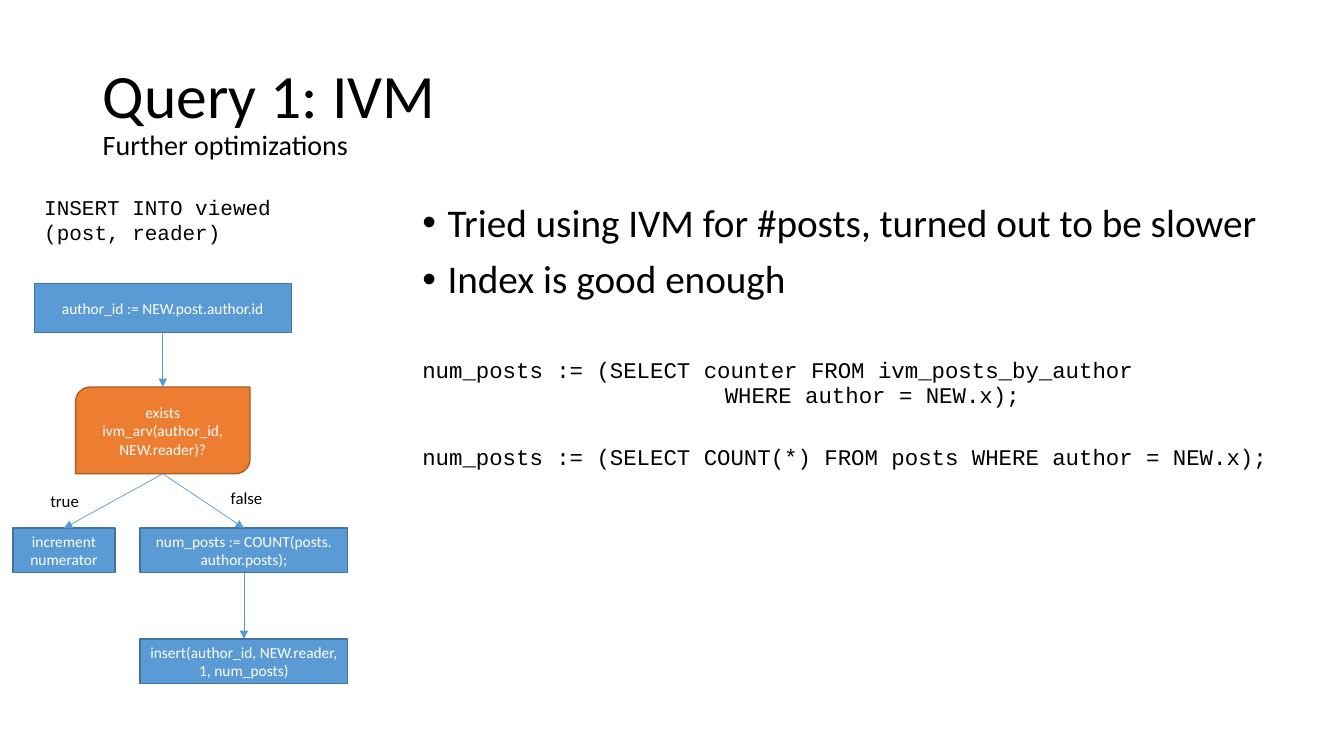
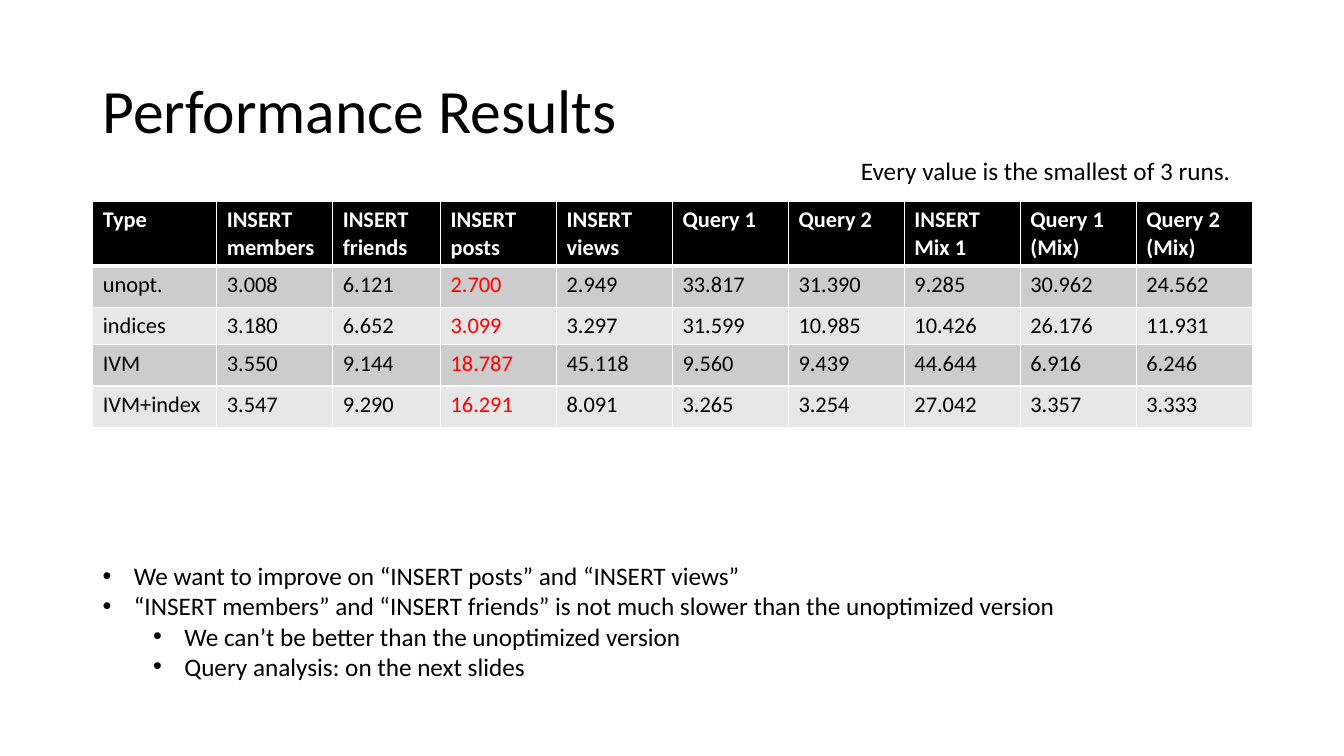
from lxml import etree
from pptx import Presentation, util as u
from pptx.dml.color import RGBColor
from pptx.enum import shapes, text
from pptx.oxml.ns import qn

PX = 9144
WIDE, HIGH = 1333, 750
SANS, MONO = "Calibri", "Courier New"
HUES = {
    "ink": "000000", "paper": "FFFFFF", "alert": "FF0000",
    "step": "5B9BD5", "stepline": "43739E",
    "test": "ED7D31", "testline": "AF5C24",
    "dark": "CCCCCC", "light": "E7E7E7",
}


def px(*sizes):
    return [u.Emu(size * PX) for size in sizes]


def hue(name):
    return RGBColor.from_string(HUES[name])


def style(par, size, color="ink", font=SANS, bold=False):
    for run in par.runs:
        run.font.size = u.Pt(size)
        run.font.name = font
        run.font.bold = bold
        run.font.color.rgb = hue(color)


def indent(par, left, hang=0):
    props = par._p.get_or_add_pPr()
    props.set("marL", str(left * PX))
    props.set("indent", str(-hang * PX))
    if hang:
        etree.SubElement(props, qn("a:buFont"), typeface="Arial")
        etree.SubElement(props, qn("a:buChar"), char="•")


def label(slide, box, words, size, font=SANS, wrap=False):
    frame = slide.shapes.add_textbox(*px(*box)).text_frame
    frame.word_wrap = wrap
    frame.text = words
    for par in frame.paragraphs:
        style(par, size, font=font)
    return frame


def title(slide, words, note=None):
    full = f"{words}\v{note}" if note else words
    frame = label(slide, (92, 40, 1150, 145), full, 44, wrap=True)
    frame.vertical_anchor = text.MSO_ANCHOR.MIDDLE
    par = frame.paragraphs[0]
    par.line_spacing = 0.9
    if note:
        par.runs[-1].font.size = u.Pt(20)


def node(slide, box, words, kind):
    form = shapes.MSO_SHAPE.RECTANGLE
    if kind == "test":
        form = shapes.MSO_SHAPE.ROUND_2_DIAG_RECTANGLE
    shape = slide.shapes.add_shape(form, *px(*box))
    shape.shadow.inherit = False
    shape.fill.solid()
    shape.fill.fore_color.rgb = hue(kind)
    shape.line.color.rgb = hue(kind + "line")
    shape.line.width = u.Pt(1)
    frame = shape.text_frame
    frame.word_wrap = True
    frame.vertical_anchor = text.MSO_ANCHOR.MIDDLE
    frame.text = words
    par = frame.paragraphs[0]
    par.alignment = text.PP_ALIGN.CENTER
    style(par, 11, "paper")
    return shape


def arrow(slide, top, low):
    line = slide.shapes.add_connector(
        shapes.MSO_CONNECTOR.STRAIGHT,
        top.left + top.width // 2, top.top + top.height,
        low.left + low.width // 2, low.top)
    line.line.color.rgb = hue("step")
    line.line.width = u.Pt(0.5)
    etree.SubElement(line.line._get_or_add_ln(), qn("a:tailEnd"), type="triangle")
    etree.SubElement(line._element.spPr, qn("a:effectLst"))


def flow(slide, left, top):
    def place(x, y, w, h):
        return left + x, top + y, w, h

    steps = {
        "fetch": ((21, 93, 255, 49), "author_id := NEW.post.author.id", "step"),
        "check": ((62, 196, 173, 86), "exists ivm_arv(author_id, NEW.reader)?", "test"),
        "raise": ((0, 336, 101, 44), "increment numerator", "step"),
        "count": ((126, 336, 206, 44), "num_posts := COUNT(posts. author.posts);", "step"),
        "store": ((126, 446, 206, 44), "insert(author_id, NEW.reader, 1, num_posts)", "step"),
    }
    nodes = {key: node(slide, place(*box), words, kind)
             for key, (box, words, kind) in steps.items()}
    for start, end in (("fetch", "check"), ("check", "raise"),
                       ("check", "count"), ("count", "store")):
        arrow(slide, nodes[start], nodes[end])
    label(slide, place(21, 0, 247, 61), "INSERT INTO viewed\n(post, reader)", 15, MONO)
    label(slide, place(206, 291, 52, 30), "false", 12)
    label(slide, place(27, 294, 49, 30), "true", 12)


def body(slide, box):
    rows = (
        ("Tried using IVM for #posts, turned out to be slower", 28, SANS, 25, 25, 10),
        ("Index is good enough", 28, SANS, 25, 25, 10),
        ("num_posts := (SELECT counter FROM ivm_posts_by_author", 16, MONO, 0, 0, 41),
        ("WHERE author = NEW.x);", 16, MONO, 300, 0, 0),
        ("num_posts := (SELECT COUNT(*) FROM posts WHERE author = NEW.x);",
         16, MONO, 0, 0, 27),
    )
    frame = label(slide, box, "\n".join(row[0] for row in rows), 28, wrap=True)
    for par, (_, size, font, left, hang, gap) in zip(frame.paragraphs, rows):
        style(par, size, font=font)
        par.line_spacing = 0.9
        par.space_before = u.Pt(gap)
        indent(par, left, hang)


def edge(cell, side, width):
    line = etree.SubElement(cell._tc.get_or_add_tcPr(), qn("a:ln" + side),
                            w=str(u.Pt(width)))
    fill = etree.SubElement(line, qn("a:solidFill"))
    etree.SubElement(fill, qn("a:srgbClr"), val=HUES["paper"])


def grid(slide, left, top):
    heads = ("Type", "INSERT members", "INSERT friends", "INSERT posts",
             "INSERT views", "Query 1", "Query 2", "INSERT Mix 1",
             "Query 1 (Mix)", "Query 2 (Mix)")
    data = (
        heads,
        ("unopt.", "3.008", "6.121", "2.700", "2.949", "33.817", "31.390",
         "9.285", "30.962", "24.562"),
        ("indices", "3.180", "6.652", "3.099", "3.297", "31.599", "10.985",
         "10.426", "26.176", "11.931"),
        ("IVM", "3.550", "9.144", "18.787", "45.118", "9.560", "9.439",
         "44.644", "6.916", "6.246"),
        ("IVM+index", "3.547", "9.290", "16.291", "8.091", "3.265", "3.254",
         "27.042", "3.357", "3.333"),
    )
    wides = [123, 115, 107] + [115] * 7
    highs = [64, 41, 37, 41, 41]
    red = heads.index("INSERT posts")
    table = slide.shapes.add_table(
        len(data), len(heads), *px(left, top, sum(wides), sum(highs))).table
    for col, wide in zip(table.columns, wides):
        col.width = u.Emu(wide * PX)
    for r, (high, words) in enumerate(zip(highs, data)):
        table.rows[r].height = u.Emu(high * PX)
        head = r == 0
        back = "ink" if head else ("light", "dark")[r % 2]
        for c, word in enumerate(words):
            cell = table.cell(r, c)
            for side, width in (("L", 1), ("R", 1), ("T", 3 if r == 1 else 1),
                                ("B", 3 if head else 1)):
                edge(cell, side, width)
            cell.fill.solid()
            cell.fill.fore_color.rgb = hue(back)
            cell.text_frame.text = word
            color = "paper" if head else "alert" if c == red else "ink"
            style(cell.text_frame.paragraphs[0], 16, color, bold=head)


def notes(slide, box):
    rows = (
        (0, "We want to improve on “INSERT posts” and “INSERT views”"),
        (0, "“INSERT members” and “INSERT friends” is not much slower than"
            " the unoptimized version"),
        (1, "We can’t be better than the unoptimized version"),
        (1, "Query analysis: on the next slides"),
    )
    frame = label(slide, box, "\n".join(words for _, words in rows), 18)
    for par, (level, _) in zip(frame.paragraphs, rows):
        par.level = level
        indent(par, 31 + 50 * level, 31)


def query(slide):
    title(slide, "Query 1: IVM", "Further optimizations")
    body(slide, (409, 197, 915, 476))
    flow(slide, 13, 188)


def results(slide):
    title(slide, "Performance Results")
    grid(slide, 92, 200)
    label(slide, (844, 149, 391, 40), "Every value is the smallest of 3 runs.", 18)
    notes(slide, (92, 551, 975, 131))


def main():
    deck = Presentation()
    deck.slide_width, deck.slide_height = px(WIDE, HIGH)
    for build in (query, results):
        build(deck.slides.add_slide(deck.slide_layouts[6]))
    deck.save("out.pptx")


if __name__ == "__main__":
    main()
